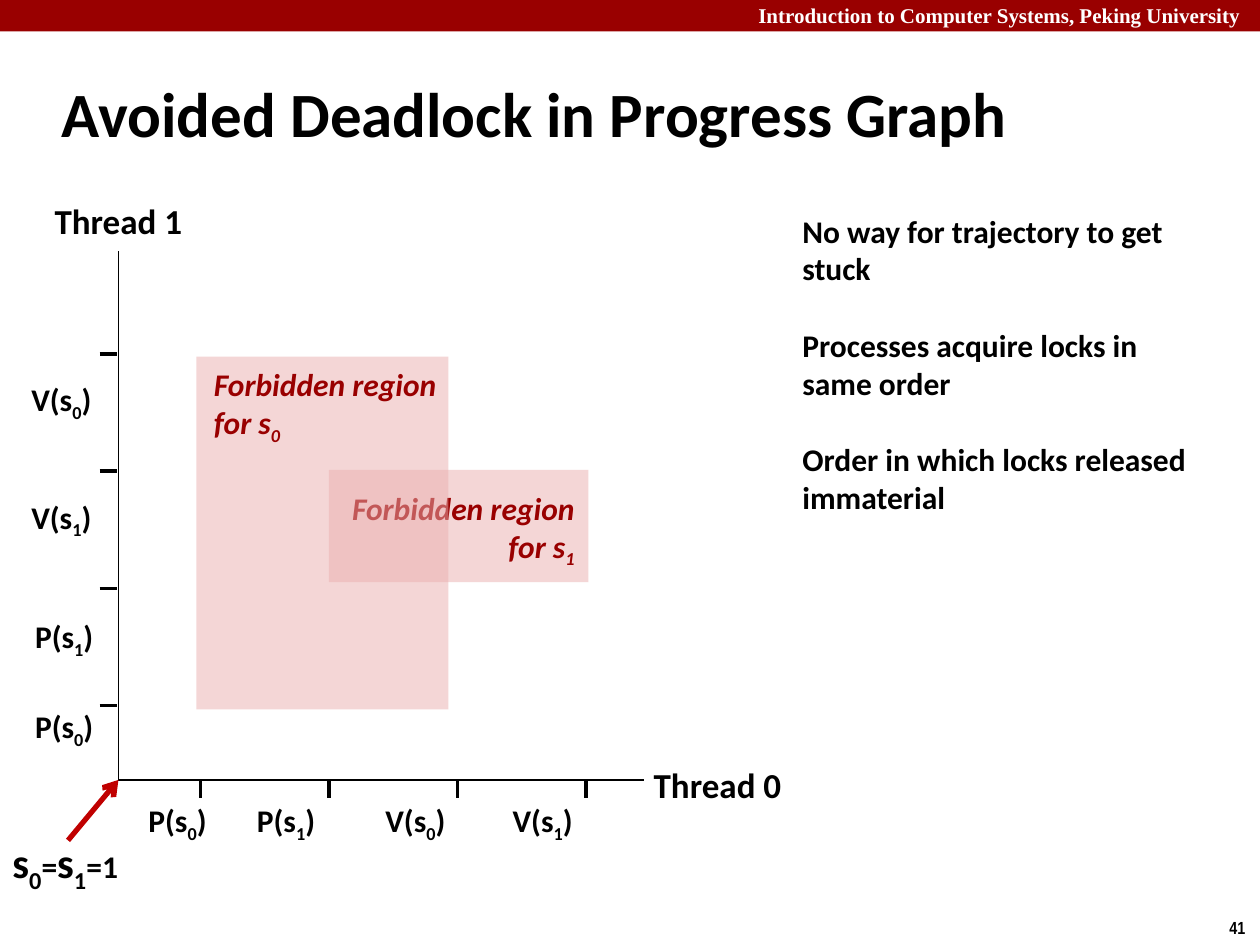
from lxml import etree
from pptx import Presentation
from pptx.dml.color import RGBColor
from pptx.enum.shapes import MSO_CONNECTOR, MSO_SHAPE
from pptx.enum.text import MSO_ANCHOR, MSO_AUTO_SIZE, PP_ALIGN
from pptx.oxml.ns import qn
from pptx.util import Inches, Pt

STRAIGHT = MSO_CONNECTOR.STRAIGHT
RECTANGLE = MSO_SHAPE.RECTANGLE
TOP, MIDDLE = MSO_ANCHOR.TOP, MSO_ANCHOR.MIDDLE
LEFT, CENTER, RIGHT = PP_ALIGN.LEFT, PP_ALIGN.CENTER, PP_ALIGN.RIGHT
NO_AUTOFIT = MSO_AUTO_SIZE.NONE

COLORS = {
    "banner": "990000",
    "white": "FFFFFF",
    "ink": "000000",
    "region": "EBAFAF",
    "region_text": "990000",
    "arrow": "C00000",
}
BODY = {"name": "Calibri", "size": Pt(18), "bold": True}
AXIS_NAME = {**BODY, "size": Pt(20)}
REGION_NAME = {**BODY, "italic": True}
BANNER = {"name": "Times New Roman", "size": Pt(12), "bold": True}
PAGE_NUMBER = {"name": "Arial Narrow", "size": Pt(10), "bold": True}
TITLE = {**BODY, "size": Pt(36)}


def color(name):
    return RGBColor.from_string(COLORS[name])


def add_span(para, text, style, ink="ink", subscript=False):
    span = para.add_run()
    span.text = text
    for attribute, value in style.items():
        setattr(span.font, attribute, value)
    span.font.color.rgb = color(ink)
    if subscript:
        span.font._element.set("baseline", "-25000")


def add_marked_text(para, text, style, ink="ink"):
    """Write text in which each part between bars is a subscript."""
    for index, part in enumerate(text.split("|")):
        if part:
            add_span(para, part, style, ink, subscript=index % 2 == 1)


def add_text(page, box, lines, style, ink="ink", align=LEFT, anchor=TOP,
             wrap=False, gap=0, inset=0.05):
    shape = page.shapes.add_textbox(*map(Inches, box))
    frame = shape.text_frame
    frame.word_wrap = wrap
    frame.vertical_anchor = anchor
    frame.margin_top = frame.margin_bottom = Inches(inset)
    for index, line in enumerate(lines):
        para = frame.add_paragraph() if index else frame.paragraphs[0]
        para.alignment = align
        if index:
            para.space_before = Pt(gap)
        add_marked_text(para, line, style, ink)
    return shape


def add_rectangle(page, box, fill, alpha=100):
    shape = page.shapes.add_shape(RECTANGLE, *map(Inches, box))
    shape.shadow.inherit = False
    shape.fill.solid()
    shape.fill.fore_color.rgb = color(fill)
    shape.line.fill.background()
    if alpha < 100:
        tint = shape.fill._xPr.find(".//" + qn("a:srgbClr"))
        etree.SubElement(tint, qn("a:alpha"), val=str(alpha * 1000))


def add_line(page, start, end, width, ink="ink", arrow=False):
    line = page.shapes.add_connector(STRAIGHT, *map(Inches, (*start, *end)))
    line.line.color.rgb = color(ink)
    line.line.width = Pt(width)
    if arrow:
        etree.SubElement(line.line._ln, qn("a:tailEnd"), type="arrow")
    etree.SubElement(line._element.spPr, qn("a:effectLst"))


def add_banner(page, box):
    left, top, width, height = box
    add_rectangle(page, box, "banner")
    add_text(page, (left + width - 4.08, top - 0.03, 4.15, 0.3),
             ["Introduction to Computer Systems, Peking University"],
             BANNER, "white", wrap=True)


def add_title(page, box, text):
    title = page.shapes.title
    title.left, title.top, title.width, title.height = map(Inches, box)
    frame = title.text_frame
    frame.auto_size = NO_AUTOFIT
    frame.vertical_anchor = MIDDLE
    para = frame.paragraphs[0]
    para.alignment = LEFT
    add_span(para, text, TITLE)


def add_axes(page, box):
    """Draw both axes with ticks and lock operations from the lower left."""
    left, top, width, height = box
    bottom = top + height
    tick = 0.14
    add_line(page, (left, bottom), (left + width, bottom), 1)
    add_line(page, (left, bottom), (left, top), 1)
    add_text(page, (left + width - 0.03, bottom - 0.18, 1.23, 0.44),
             ["Thread 0"], AXIS_NAME, align=CENTER, anchor=MIDDLE)
    add_text(page, (left - 0.61, top - 0.46, 1.22, 0.44),
             ["Thread 1"], AXIS_NAME, align=CENTER, anchor=MIDDLE)

    for index in range(4):
        x = left + 0.65 + 1.02 * index
        add_line(page, (x, bottom), (x, bottom + tick), 2)
        y = bottom - 0.59 - 0.93 * index
        add_line(page, (left - tick - 0.01, y), (left - 0.01, y), 2)

    across = {"P(s|0|)": 0.14, "P(s|1|)": 1.0, "V(s|0|)": 2.02, "V(s|1|)": 3.03}
    for label, offset in across.items():
        add_text(page, (left + offset, bottom + tick, 0.69, 0.4),
                 [label], BODY, anchor=MIDDLE)

    upward = {"P(s|0|)": (0.76, 0.61), "P(s|1|)": (0.76, 1.32),
              "V(s|1|)": (0.79, 2.27), "V(s|0|)": (0.79, 3.2)}
    for label, (outset, rise) in upward.items():
        add_text(page, (left - outset, bottom - rise, 0.69, 0.4),
                 [label], BODY, anchor=MIDDLE)


def add_region(page, box, lock, label_box, align):
    add_rectangle(page, box, "region", alpha=50)
    add_text(page, label_box, ["Forbidden region", f"for s|{lock}|"],
             REGION_NAME, "region_text", align=align)


def add_start_state(page, box, origin):
    """Label the initial lock values and point to the origin."""
    left, top, width, height = box
    shape = add_text(page, box, [], BODY, anchor=MIDDLE, inset=0)
    para = shape.text_frame.paragraphs[0]
    large = {**BODY, "size": Pt(24)}
    for text, style in (("s|0|", large), ("=", BODY), ("s|1|", large), ("=1", BODY)):
        add_marked_text(para, text, style)
    add_line(page, (left + width / 2, top), origin, 3, "arrow", arrow=True)


def main():
    deck = Presentation()
    deck.slide_width, deck.slide_height = Inches(10), Inches(7.5)
    page = deck.slides.add_slide(deck.slide_layouts[5])

    add_banner(page, (0, 0, 10, 0.25))
    add_title(page, (0.39, 0.48, 8.3, 0.83), "Avoided Deadlock in Progress Graph")
    add_axes(page, (0.94, 1.99, 4.17, 4.2))
    add_region(page, (2.61, 3.73, 2.06, 0.89), 1, (2.61, 3.83, 2.05, 0.71), RIGHT)
    add_region(page, (1.56, 2.83, 2, 2.8), 0, (1.6, 2.85, 2.06, 0.71), LEFT)
    add_start_state(page, (0, 6.67, 1.08, 0.4), (0.94, 6.19))
    add_text(page, (6.27, 1.68, 3.4, 2.4),
             ["No way for trajectory to get stuck",
              "Processes acquire locks in same order",
              "Order in which locks released immaterial"],
             BODY, wrap=True, gap=22, inset=0)
    add_text(page, (9.66, 7.23, 0.34, 0.27), ["41"], PAGE_NUMBER)
    deck.save("out.pptx")


if __name__ == "__main__":
    main()
